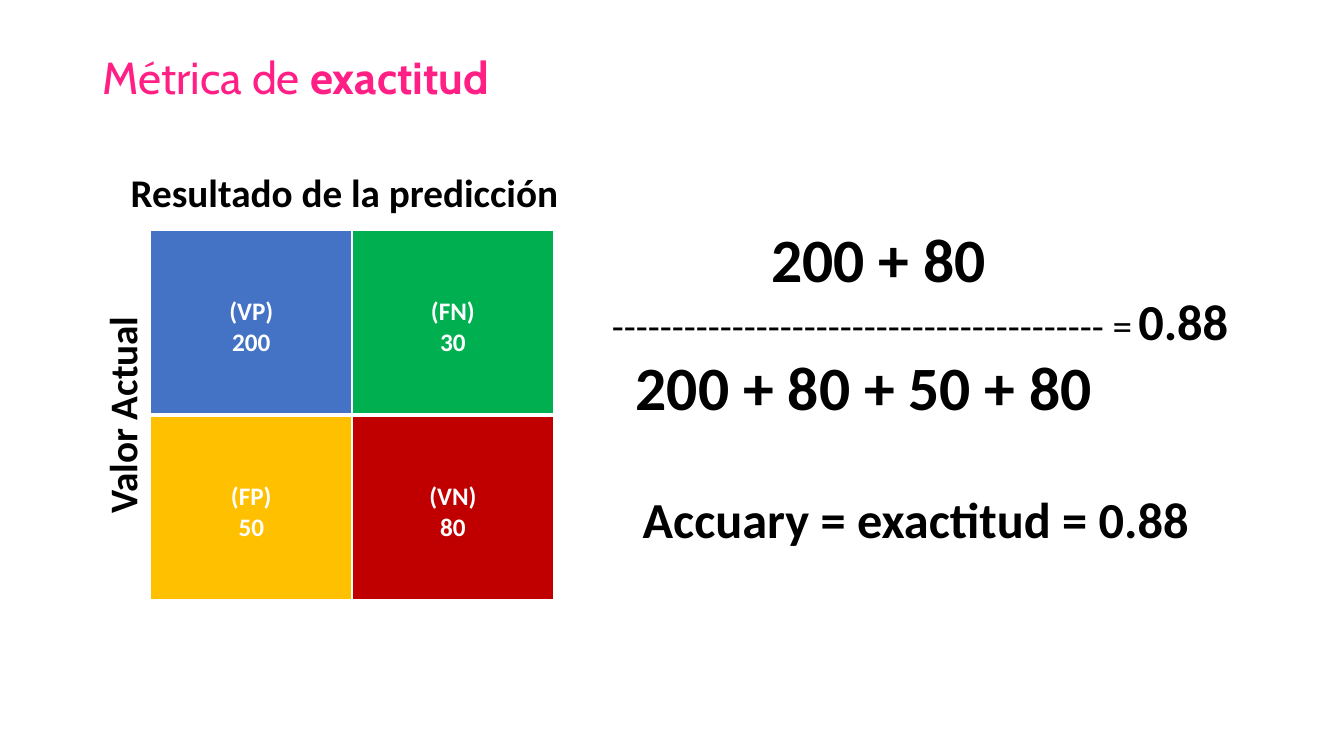
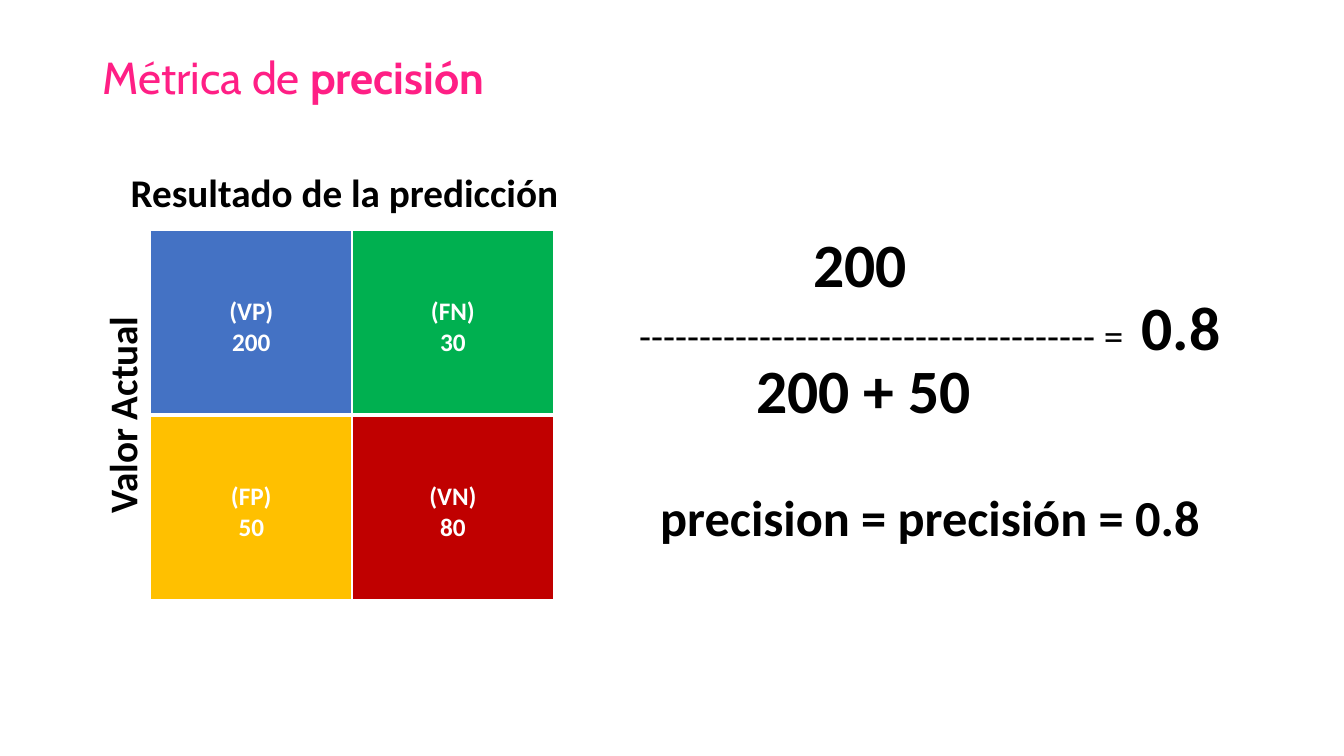
from pptx import Presentation
from pptx.dml.color import RGBColor
from pptx.enum.text import MSO_ANCHOR, PP_ALIGN
from pptx.oxml.xmlchemy import OxmlElement
from pptx.util import Pt

LEFT, CENTER = PP_ALIGN.LEFT, PP_ALIGN.CENTER
TOP, MIDDLE = MSO_ANCHOR.TOP, MSO_ANCHOR.MIDDLE
PINK, BLACK, WHITE = "FF1F85", "000000", "FFFFFF"
HEAD, BODY = "Cabin", "Calibri"

# Confusion matrix: label, count, fill
CELLS = [
    [("(VP)", "200", "4472C4"), ("(FN)", "30", "00B050")],
    [("(FP)", "50", "FFC000"), ("(VN)", "80", "C00000")],
]


def paint(hue):
    return RGBColor.from_string(hue)


class Deck:
    def __init__(self):
        self.prs = Presentation()
        self.prs.slide_width, self.prs.slide_height = Pt(960), Pt(540)
        self.slide = None

    def page(self):
        self.slide = self.prs.slides.add_slide(self.prs.slide_layouts[6])

    def style(self, para, size, hue=BLACK, face=BODY, bold=None):
        font = para.font
        font.name, font.size, font.bold = face, Pt(size), bold
        font.color.rgb = paint(hue)

    def box(self, x, y, w, h, anchor=TOP):
        shape = self.slide.shapes.add_textbox(Pt(x), Pt(y), Pt(w), Pt(h))
        frame = shape.text_frame
        frame.word_wrap, frame.vertical_anchor = True, anchor
        return shape, frame.paragraphs[0]

    def title(self, word):
        _, para = self.box(66, 29, 828, 56, MIDDLE)
        para.line_spacing = 0.9
        para.add_run().text = "Métrica de "
        run = para.add_run()
        run.text, run.font.bold = word, True
        self.style(para, 32, PINK, HEAD)

    def label(self, text, x, y, w, h, size, align=LEFT, turn=0):
        shape, para = self.box(x, y, w, h)
        shape.rotation = turn
        para.text, para.alignment = text, align
        self.style(para, size, bold=True)

    def ratio(self, dashes, value, x, y, h, size, stop):
        """Draw the fraction bar, with the result at a tab stop."""
        _, para = self.box(x, y, 464, h)
        tabs, tab = OxmlElement("a:tabLst"), OxmlElement("a:tab")
        tab.set("pos", str(Pt(stop)))
        tab.set("algn", "l")
        tabs.append(tab)
        para._p.get_or_add_pPr().append(tabs)
        para.add_run().text = "-" * dashes + " =\t"
        run = para.add_run()
        run.text, run.font.size, run.font.bold = value, Pt(size), True
        self.style(para, 28)

    def edge(self, cell, side, width):
        line = OxmlElement("a:ln" + side)
        line.set("w", str(Pt(width)))
        fill, color = OxmlElement("a:solidFill"), OxmlElement("a:srgbClr")
        color.set("val", WHITE)
        fill.append(color)
        line.append(fill)
        cell._tc.get_or_add_tcPr().append(line)

    def matrix(self):
        shape = self.slide.shapes.add_table(
            2, 2, Pt(107.5), Pt(164.5), Pt(288), Pt(264))
        table = shape.table
        table.first_row = table.horz_banding = False
        for r, row in enumerate(CELLS):
            for c, (name, count, hue) in enumerate(row):
                cell = table.cell(r, c)
                # The line between the rows is the thick one
                thick = "TB"[1 - r]
                for side in "LRTB":
                    self.edge(cell, side, 3 if side == thick else 1)
                cell.fill.solid()
                cell.fill.fore_color.rgb = paint(hue)
                cell.margin_top = Pt(47.5)
                cell.text = f"{name}\n{count}"
                for para in cell.text_frame.paragraphs:
                    para.alignment = CENTER
                    self.style(para, 18, WHITE, bold=True)

    def metric(self, word):
        """Start a slide with the parts that every metric shares."""
        self.page()
        self.title(word)
        self.matrix()
        self.label("Resultado de la predicción", 81, 117, 330, 41, 28, CENTER)
        self.label("Valor Actual", 2, 276, 170, 41, 28, CENTER, 270)


def main():
    deck = Deck()

    # Accuracy
    deck.metric("exactitud")
    deck.ratio(41, "0.88", 430, 204, 51, 36, 376)
    deck.label("200 + 80", 544, 154, 190, 61, 44)
    deck.label("200 + 80 + 50 + 80", 447, 245.5, 362, 61, 44)
    deck.label("Accuary = exactitud = 0.88", 452, 345, 423, 51, 36)

    # Precision
    deck.metric("precisión")
    deck.ratio(38, "0.8", 449.5, 203, 61, 44, 359)
    deck.label("200", 574, 158, 90, 61, 44)
    deck.label("200 + 50", 533, 248, 190, 61, 44)
    deck.label("precision = precisión = 0.8", 464.5, 344, 423, 51, 36)

    deck.prs.save("out.pptx")


if __name__ == "__main__":
    main()
